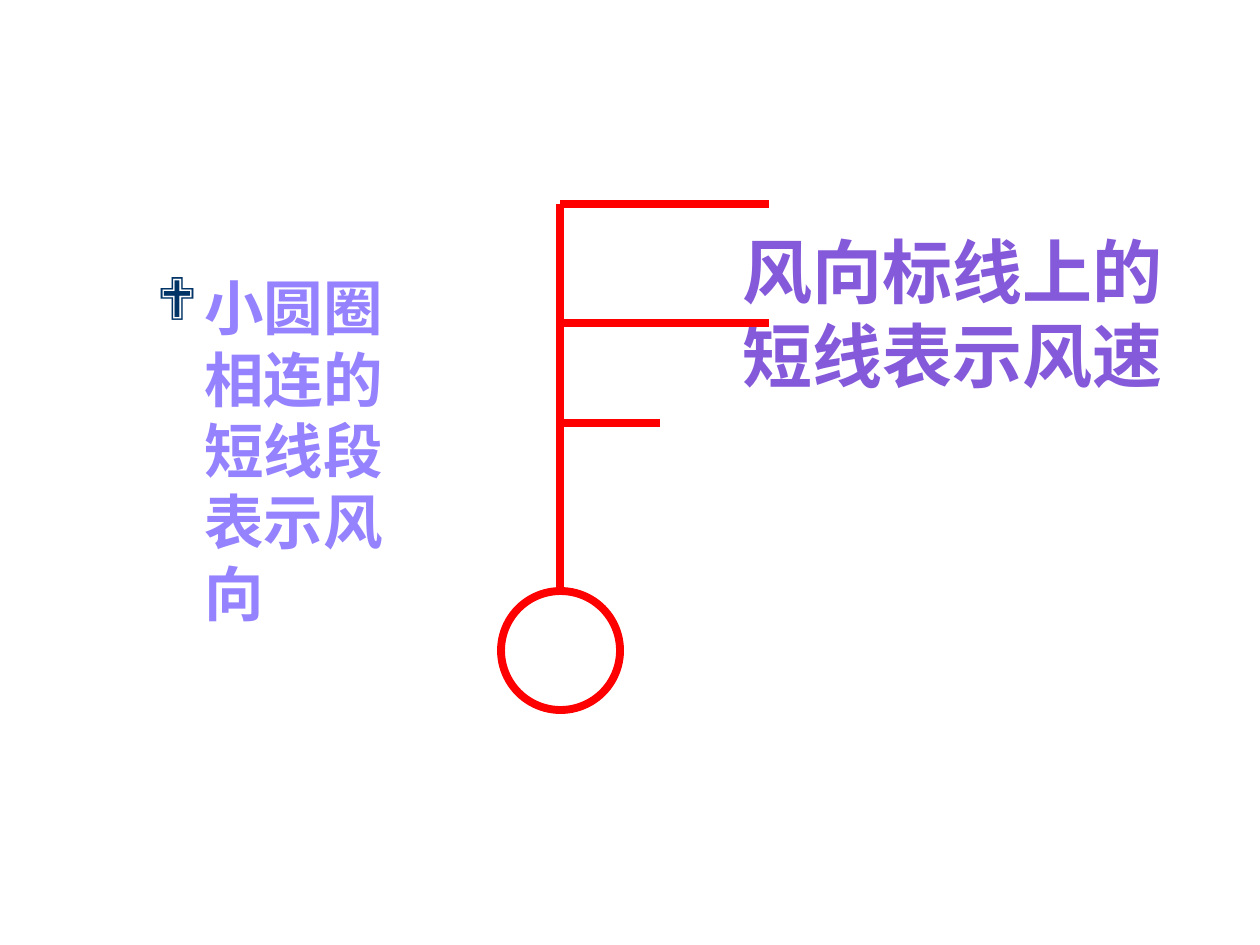
from lxml import etree
from pptx import Presentation
from pptx import util as u
from pptx.dml.color import RGBColor
from pptx.enum import shapes, text
from pptx.oxml.ns import qn

SCALE = 914400 / 126
RED = "FF0000"


def px(n):
    return u.Emu(round(n * SCALE))


def rgb(value):
    return RGBColor.from_string(value)


def style_line(line):
    line.color.rgb = rgb(RED)
    line.width = u.Pt(4.5)


def add_line(s, x1, y1, x2, y2):
    line = s.shapes.add_connector(
        shapes.MSO_CONNECTOR.STRAIGHT, px(x1), px(y1), px(x2), px(y2))
    style_line(line.line)
    etree.SubElement(line._element.spPr, qn("a:effectLst"))


def add_run(p, words, size, color):
    r = p.add_run()
    r.text = words
    r.font.name = "Arial"
    r.font.size = u.Pt(size)
    r.font.bold = True
    r.font.color.rgb = rgb(color)


def add_bullet(p, char, color, indent):
    pPr = p._p.get_or_add_pPr()
    pPr.set("marL", str(indent))
    pPr.set("indent", str(-indent))
    bu_clr = etree.SubElement(pPr, qn("a:buClr"))
    etree.SubElement(bu_clr, qn("a:srgbClr"), val=color)
    etree.SubElement(pPr, qn("a:buFont"), typeface="Wingdings")
    etree.SubElement(pPr, qn("a:buChar"), char=char)


def wind_symbol(s, left, top, width, height):
    # Station circle
    size = 119
    mast = left + size // 2
    circle_top = top + height - size
    circle = s.shapes.add_shape(
        shapes.MSO_SHAPE.OVAL, px(left), px(circle_top), px(size), px(size))
    circle.shadow.inherit = False
    circle.fill.background()
    style_line(circle.line)
    # Direction mast and speed barbs
    add_line(s, mast, circle_top, mast, top)
    right = left + width
    for drop, end in ((0, right), (119, right), (219, right - 109)):
        add_line(s, mast, top + drop, end, top + drop)


def speed_title(s, left, top, width, height):
    sp = s.shapes.title
    sp.left, sp.top, sp.width, sp.height = map(px, (left, top, width, height))
    tf = sp.text_frame
    tf.word_wrap = True
    tf.auto_size = text.MSO_AUTO_SIZE.NONE
    tf.vertical_anchor = text.MSO_ANCHOR.MIDDLE
    tf.margin_left = px(8)
    tf.margin_bottom = px(90)
    p = tf.paragraphs[0]
    p.alignment = text.PP_ALIGN.RIGHT
    add_run(p, "风向标线上的短线表示风速", 40, "855ADA")


def direction_note(s, left, top, width, height):
    sp = s.shapes.add_textbox(*map(px, (left, top, width, height)))
    tf = sp.text_frame
    tf.word_wrap = True
    p = tf.paragraphs[0]
    add_bullet(p, "❖", "003366", px(48))
    add_run(p, "小圆圈相连的短线段表示风向", 34, "9482FE")


def main():
    prs = Presentation()
    prs.slide_width, prs.slide_height = px(1260), px(945)
    s = prs.slides.add_slide(prs.slide_layouts[5])
    wind_symbol(s, 501, 204, 268, 506)
    speed_title(s, 729, 185, 446, 338)
    direction_note(s, 144, 265, 287, 456)
    prs.save("out.pptx")


if __name__ == "__main__":
    main()
